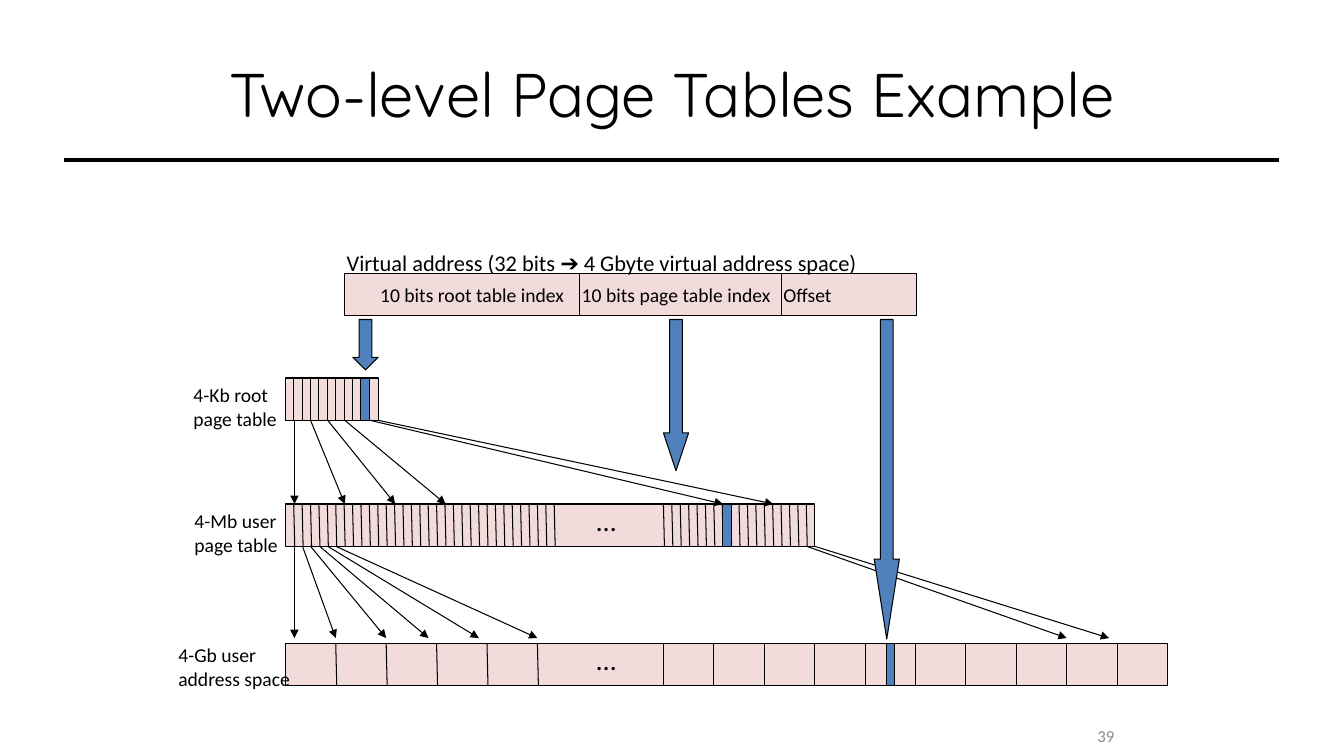
"""Builds the slide on two-level page tables."""
from lxml.etree import SubElement
from pptx import Presentation
from pptx.dml.color import RGBColor
from pptx.enum.shapes import MSO_CONNECTOR as Connector, MSO_SHAPE as Shape
from pptx.enum.text import MSO_ANCHOR as Anchor, PP_ALIGN as Align
from pptx.oxml.ns import qn
from pptx.util import Inches, Pt

BLACK, GREY, ROSE, BLUE = "000000", "8C8C8C", "C0504D", "4F81BD"
LEFT, BAR_HEIGHT, ENTRY, PAGE = 2.83, 0.42, 1 / 12, 0.5
ADDRESS_TOP, ROOT_TOP, USER_TOP, SPACE_TOP = 2.71, 3.75, 5, 6.38
ROOT_BOTTOM, USER_BOTTOM = ROOT_TOP + BAR_HEIGHT, USER_TOP + BAR_HEIGHT
TIP = 6.33

deck = Presentation()
deck.slide_width, deck.slide_height = Inches(13.33), Inches(7.5)
slide = deck.slides.add_slide(deck.slide_layouts[5])


def add_block(kind, box, color, opacity=100):
    block = slide.shapes.add_shape(kind, *map(Inches, box))
    block.shadow.inherit = False
    block.fill.solid()
    block.fill.fore_color.rgb = RGBColor.from_string(color)
    if opacity < 100:
        tint = block.fill._xPr.find(".//" + qn("a:srgbClr"))
        SubElement(tint, qn("a:alpha"), val=str(opacity * 1000))
    block.line.color.rgb = RGBColor.from_string(BLACK)
    block.line.width = Pt(0.75)
    return block


def add_line(start, end, weight=0.75, arrow=False):
    line = slide.shapes.add_connector(Connector.STRAIGHT, *map(Inches, start + end))
    line.line.color.rgb = RGBColor.from_string(BLACK)
    line.line.width = Pt(weight)
    if arrow:
        SubElement(line.line._get_or_add_ln(), qn("a:tailEnd"), type="triangle")
    SubElement(line._element.spPr, qn("a:effectLst"))


add_line((0.63, 1.59), (12.69, 1.59), 3)

for top, width in [(ROOT_TOP, 0.92), (USER_TOP, 5.25), (SPACE_TOP, 8.75)]:
    add_block(Shape.RECTANGLE, (LEFT, top, width, BAR_HEIGHT), ROSE, 20)
address = add_block(Shape.RECTANGLE, (3.42, ADDRESS_TOP, 5.67, BAR_HEIGHT), ROSE, 20)

dividers = [
    (ROOT_TOP, LEFT + ENTRY, ENTRY, 9, 0),
    (USER_TOP, LEFT + ENTRY, ENTRY, 32, 0.01),
    (USER_TOP, 6.58, ENTRY, 18, 0.01),
    (SPACE_TOP, LEFT + PAGE, PAGE, 5, 0.01),
    (SPACE_TOP, 6.58, PAGE, 10, 0),
    (ADDRESS_TOP, 5.75, 2, 2, 0),
]
for top, first, step, count, slant in dividers:
    for index in range(count):
        x = first + index * step
        add_line((x, top), (x + slant, top + BAR_HEIGHT))

references = [
    (ROOT_BOTTOM, USER_TOP, [(2.92, 2.92), (3.08, 3.42), (3.25, 3.92), (3.42, 4.42),
                             (3.75, 7.67), (3.67, 7.17)]),
    (USER_BOTTOM, TIP, [(2.92, 2.92), (3, 3.33), (3.08, 3.83), (3.17, 4.25),
                        (3.25, 4.75), (3.33, 5.33), (8.08, 11), (8, 10.58)]),
]
for origin, target, pairs in references:
    for entry, page in pairs:
        add_line((entry, origin), (page, target), arrow=True)

for x, length in [(3.5, 0.5), (6.58, 1.5), (8.67, 3.17)]:
    lookup = add_block(Shape.DOWN_ARROW, (x, 3.17, 0.25, length), BLUE)
    lookup.adjustments[0], lookup.adjustments[1] = 0.5, length

for x, top in [(3.58, ROOT_TOP), (7.17, USER_TOP), (8.79, SPACE_TOP)]:
    add_block(Shape.RECTANGLE, (x, top, ENTRY, BAR_HEIGHT), BLUE)

title = slide.shapes.title
title.left, title.top, title.width, title.height = map(Inches, (0.67, 0.3, 12, 1.25))
fields = address.text_frame
fields.margin_left, fields.margin_right = Inches(0.35), 0
tabs = SubElement(fields.paragraphs[0]._p.get_or_add_pPr(), qn("a:tabLst"))
for stop in (2.13, 4.48):
    SubElement(tabs, qn("a:tab"), pos=str(Inches(stop)), algn="l")

label = {"size": Pt(14), "name": "Calibri"}
gap = {"size": Pt(20), "name": "Calibri"}
middle_left = (Anchor.MIDDLE, Align.LEFT)
top_left = (Anchor.TOP, Align.LEFT)
texts = [
    (title, "Two-level Page Tables Example", {"size": Pt(44), "name": "Quicksand"},
     BLACK, (Anchor.MIDDLE, Align.CENTER), True),
    (address, "10 bits root table index\t10 bits page table index\tOffset", label,
     BLACK, middle_left, True),
    ((3.34, 2.42, 5.38, 0.37), "Virtual address (32 bits ➔ 4 Gbyte virtual address space)",
     {"size": Pt(16), "name": "Calibri"}, BLACK, top_left, False),
    ((1.82, 3.75, 1.04, 0.57), "4-Kb root\npage table", label, BLACK, top_left, False),
    ((1.83, 5, 1.04, 0.57), "4-Mb user\npage table", label, BLACK, top_left, False),
    ((1.67, 6.33, 1.32, 0.57), "4-Gb user\naddress space", label, BLACK, top_left, False),
    ((5.82, 4.95, 0.39, 0.44), "…", gap, BLACK, top_left, False),
    ((5.82, 6.33, 0.39, 0.44), "…", gap, BLACK, top_left, False),
    ((8.82, 7.1, 2.33, 0.4), "39", {"size": Pt(12), "name": "Calibri"},
     GREY, (Anchor.MIDDLE, Align.RIGHT), True),
]
for place, wording, style, color, (anchor, alignment), wrap in texts:
    if isinstance(place, tuple):
        place = slide.shapes.add_textbox(*map(Inches, place))
    frame = place.text_frame
    frame.text = wording
    frame.word_wrap = wrap
    frame.vertical_anchor = anchor
    for paragraph in frame.paragraphs:
        paragraph.alignment = alignment
        for run in paragraph.runs:
            run.font.color.rgb = RGBColor.from_string(color)
            for attribute, value in style.items():
                setattr(run.font, attribute, value)

deck.save("out.pptx")
